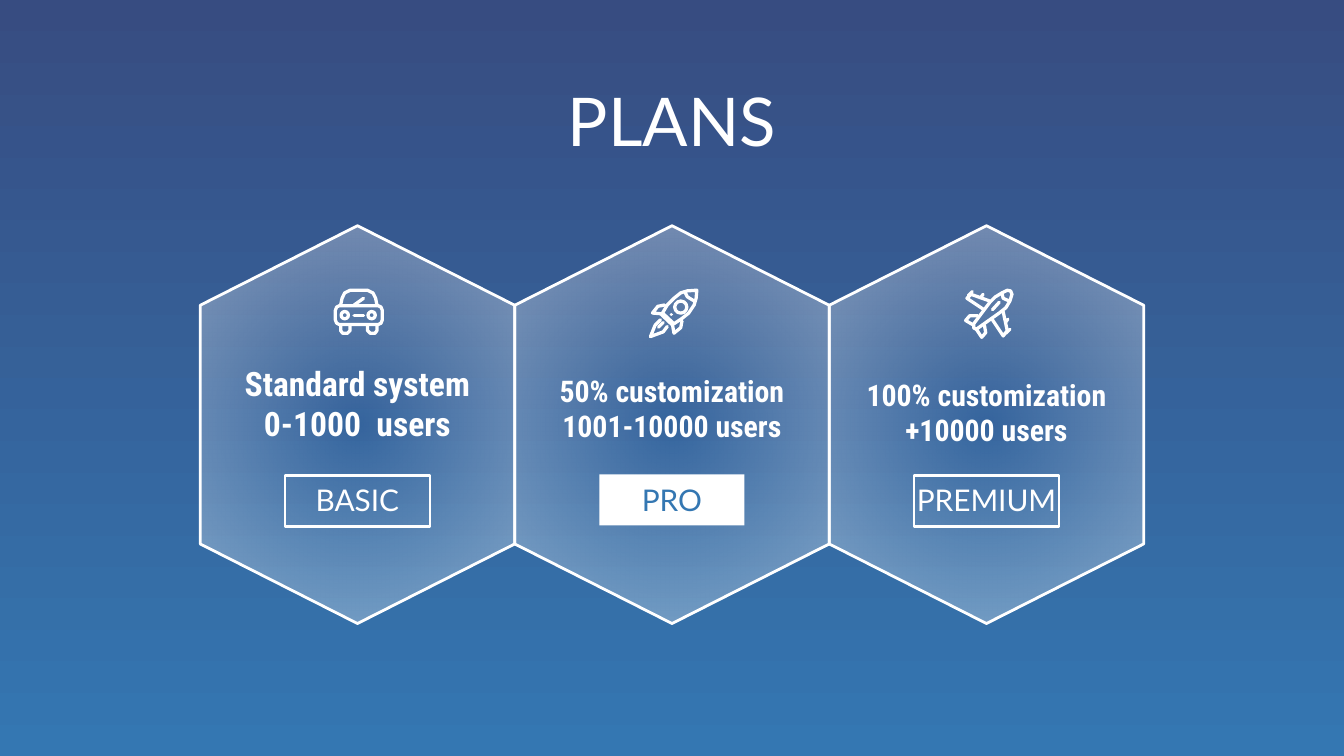
"""Build the PLANS slide: three hexagons, each with an icon, a description and a plan name."""
from lxml.etree import SubElement
from pptx import Presentation
from pptx.dml.color import RGBColor
from pptx.enum.shapes import MSO_SHAPE as SHAPE
from pptx.enum.text import MSO_ANCHOR as ANCHOR, PP_ALIGN as ALIGN
from pptx.oxml import parse_xml
from pptx.oxml.ns import nsdecls, qn
from pptx.util import Inches, Pt

WHITE = RGBColor(0xFF, 0xFF, 0xFF)
NAVY = RGBColor(0x37, 0x4C, 0x81)
BLUE = RGBColor(0x34, 0x77, 0xB2)
WIDTH = 10
HEIGHT = WIDTH * 9 / 16
PITCH = 2.34
HEX_LENGTH = 2.96
ICON_SIZE, ICON_TOP = 0.35, 2.15
GLOW = f"""<a:gradFill {nsdecls('a')} rotWithShape="1"><a:gsLst>
<a:gs pos="0"><a:srgbClr val="{WHITE}"><a:alpha val="0"/></a:srgbClr></a:gs>
<a:gs pos="100000"><a:srgbClr val="{WHITE}"><a:alpha val="39000"/></a:srgbClr></a:gs>
</a:gsLst><a:path path="circle"><a:fillToRect l="50000" t="50000" r="50000" b="50000"/></a:path></a:gradFill>"""

CAR = [
    [(1, 16), (2, 13.5), (4, 12.5), (33, 12.5), (35, 13.5), (36, 16), (36, 23),
     (35, 25.5), (33, 26.5), (4, 26.5), (2, 25.5), (1, 23), (1, 16)],
    [(5, 12), (6, 7), (8, 3), (12, 1), (25, 1), (29, 3), (31, 7), (32, 12)],
    [(5, 27), (5, 31), (6.5, 33), (10, 33), (12, 31), (12, 27)],
    [(25, 27), (25, 31), (27, 33), (30.5, 33), (32, 31), (32, 27)],
    [(15, 12), (22, 7)],
    [(15, 20), (22, 20)],
]
ROCKET = [
    [(36, 1), (35.5, 7), (34, 12), (30, 18), (25, 22), (19, 26), (10.5, 18),
     (14, 12), (19, 7), (24, 3), (29, 1.5), (36, 1)],
    [(27, 2), (29, 6), (34, 9)],
    [(12, 12), (7, 13), (3, 18), (9, 18.5), (18, 27)],
    [(25, 24), (24, 29), (19, 33), (18, 27)],
    [(9, 23), (5, 27), (1.5, 35.5), (11, 32), (14, 28)],
    [(11, 25), (7.5, 28.5)],
    [(17, 19), (17.1, 19)],
]
PLANE = [
    [(36.5, 4), (35, 9), (32, 14), (27, 18), (10, 30), (8, 29), (8, 26),
     (20, 10), (24, 6), (29, 3), (33, 1), (35.5, 1.5), (36.5, 4)],
    [(29, 3), (30, 7), (34.5, 9)],
    [(20, 9), (6, 4), (3, 7), (15, 15)],
    [(7, 2), (4, 5)],
    [(15, 4), (13.5, 6)],
    [(22, 23), (30, 35), (33, 31), (30, 17)],
    [(35, 30), (32, 33)],
    [(33.5, 22.5), (32, 24.5)],
    [(11, 20), (5, 20), (2, 23.5), (8, 27)],
    [(10, 30), (14, 36), (17, 32.5), (16, 27)],
    [(27, 10), (22, 15.5)],
]
PLANS = [
    ("BASIC", ["Standard system", "0-1000  users"], 18, 2.6, CAR, [(8, 19.5, 2.7), (28, 19.5, 2.7)]),
    ("PRO", ["50% customization", "1001-10000 users"], 16, 2.67, ROCKET, [(24, 13.5, 4.5)]),
    ("PREMIUM", ["100% customization", "+10000 users"], 16, 2.7, PLANE, []),
]


def outline(shape, weight=1.5):
    shape.shadow.inherit = False
    shape.fill.background()
    shape.line.color.rgb = WHITE
    shape.line.width = Pt(weight)
    SubElement(shape.line._ln, qn("a:round"))


def write(frame, lines, font, size, color, bold=False, anchor=ANCHOR.TOP):
    frame.word_wrap = True
    frame.vertical_anchor = anchor
    frame.margin_left = frame.margin_right = frame.margin_top = frame.margin_bottom = Inches(0.1)
    frame.text = "\n".join(lines)
    for paragraph in frame.paragraphs:
        paragraph.alignment = ALIGN.CENTER
        paragraph.font.name, paragraph.font.size = font, Pt(size)
        paragraph.font.bold, paragraph.font.color.rgb = bold, color


deck = Presentation()
deck.slide_width, deck.slide_height = Inches(WIDTH), Inches(HEIGHT)
slide = deck.slides.add_slide(deck.slide_layouts[5])
shapes = slide.shapes

backdrop = slide.background.fill
backdrop.gradient()
backdrop.gradient_angle = 270
for stop, color in zip(backdrop.gradient_stops, (NAVY, BLUE)):
    stop.color.rgb = color

heading = shapes.title
heading.left, heading.top = Inches(0.59), Inches(0.49)
heading.width, heading.height = Inches(WIDTH - 2 * 0.59), Inches(0.73)
write(heading.text_frame, ["PLANS"], "Lato", 36, WHITE)

for column, (plan, details, size, details_top, strokes, rings) in enumerate(PLANS):
    center = WIDTH / 2 + (column - 1) * PITCH
    featured = plan == "PRO"

    hexagon = shapes.add_shape(SHAPE.FLOWCHART_PREPARATION, Inches(center - HEX_LENGTH / 2),
                               Inches(1.99), Inches(HEX_LENGTH), Inches(PITCH))
    hexagon.rotation = 90
    outline(hexagon)
    no_fill = hexagon._element.spPr.find(qn("a:noFill"))
    no_fill.getparent().replace(no_fill, parse_xml(GLOW))

    button = shapes.add_shape(SHAPE.RECTANGLE, Inches(center - 0.54), Inches(3.54), Inches(1.08), Inches(0.38))
    outline(button)
    if featured:
        button.fill.solid()
        button.fill.fore_color.rgb = WHITE
        button.line.fill.background()
        button.top = Inches(3.53)

    icon_left = center - ICON_SIZE / 2
    placed = [[(Inches(icon_left + x / 100), Inches(ICON_TOP + y / 100)) for x, y in stroke]
              for stroke in strokes]
    pen = shapes.build_freeform(*placed[0][0])
    for stroke in placed:
        pen.move_to(*stroke[0])
        pen.add_line_segments(stroke[1:], close=False)
    icon = pen.convert_to_shape()
    outline(icon, 1.75)
    icon.line._ln.set("cap", "rnd")
    for x, y, radius in rings:
        ring = shapes.add_shape(SHAPE.OVAL, Inches(icon_left + (x - radius) / 100),
                                Inches(ICON_TOP + (y - radius) / 100),
                                Inches(radius / 50), Inches(radius / 50))
        outline(ring, 1.75)

    description = shapes.add_textbox(Inches(center - 1.15), Inches(details_top), Inches(2.3), Inches(0.66))
    write(description.text_frame, details, "Roboto Condensed", size, WHITE, bold=True)
    plan_name = shapes.add_textbox(Inches(center - 1), Inches(3.46), Inches(2), Inches(0.51))
    write(plan_name.text_frame, [plan], "Lato", 16, BLUE if featured else WHITE, anchor=ANCHOR.MIDDLE)

deck.save("out.pptx")
